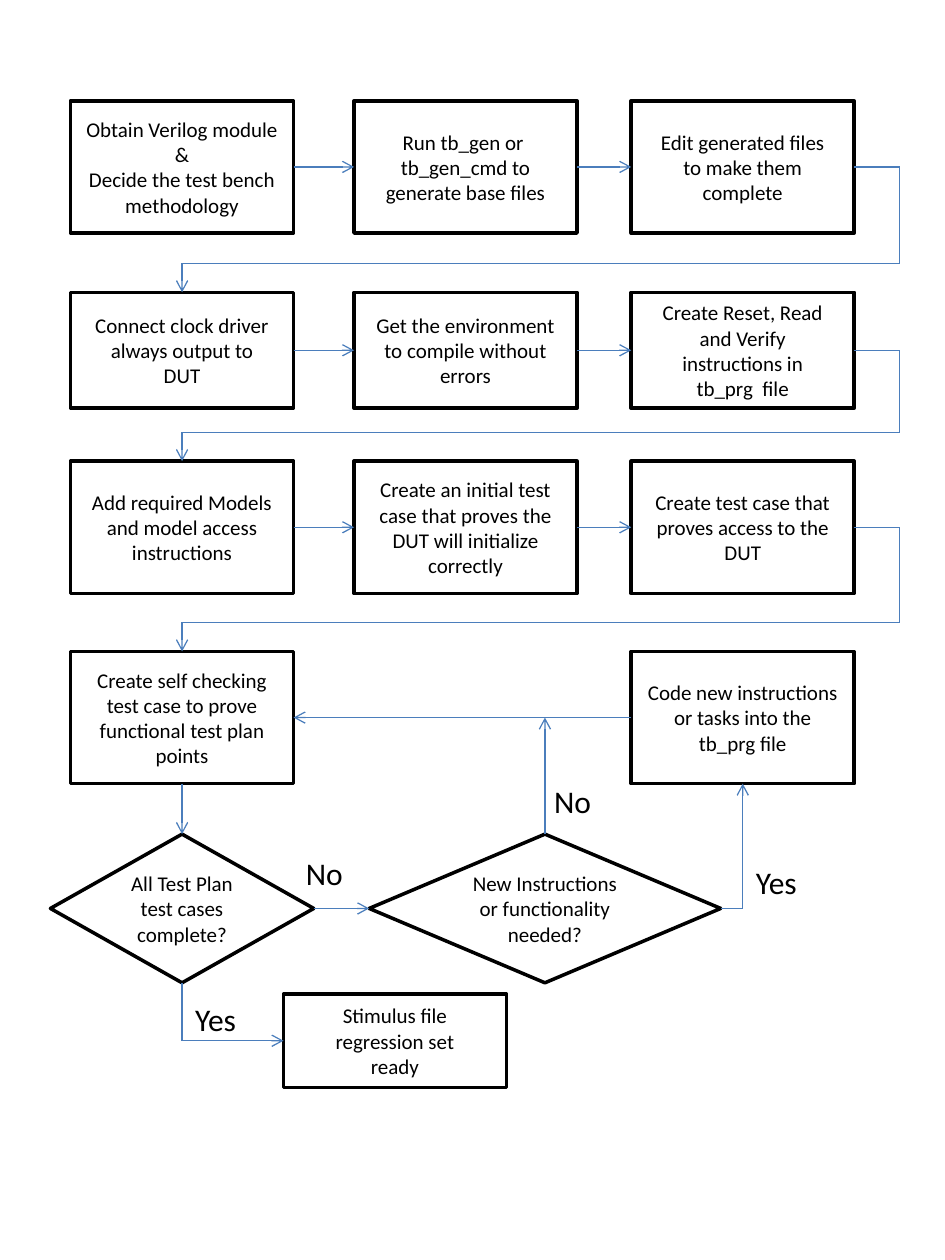
from pptx import Presentation
from pptx.dml.color import RGBColor
from pptx.enum import shapes, text
from pptx.oxml import parse_xml
from pptx.oxml.ns import nsdecls
from pptx.util import Inches, Pt

BLACK = RGBColor(0x00, 0x00, 0x00)
BLUE = RGBColor(0x4B, 0x7E, 0xBC)
FONT = "Calibri"
TOP, LEFT, BOTTOM, RIGHT = range(4)

# Content: rows of steps as (top, height, texts by column)
COLUMNS = [0.56, 2.81, 5.01]
BOX_W = 1.77
LANE_X = 7.14    # vertical lane right of the grid
LANE_GAP = 0.23  # horizontal lane above the next row
ROWS = [
    (0.8, 1.05, [
        "Obtain Verilog module\n&\nDecide the test bench\nmethodology",
        "Run tb_gen or \ntb_gen_cmd to\ngenerate base files",
        "Edit generated files\nto make them\ncomplete"]),
    (2.32, 0.92, [
        "Connect clock driver\nalways output to\nDUT",
        "Get the environment\nto compile without\nerrors",
        "Create Reset, Read\nand Verify\ninstructions in\ntb_prg  file"]),
    (3.66, 1.05, [
        "Add required Models\nand model access\ninstructions",
        "Create an initial test\ncase that proves the\nDUT will initialize\ncorrectly",
        "Create test case that\nproves access to the\nDUT"]),
    (5.17, 1.05, [
        "Create self checking\ntest case to prove\nfunctional test plan\npoints",
        None,
        "Code new instructions\nor tasks into the\ntb_prg file"]),
]
DECISIONS = [
    (0.4, 6.62, 2.09, 1.18, "All Test Plan\ntest cases\ncomplete?"),
    (2.93, 6.62, 2.79, 1.18, "New Instructions\nor functionality\nneeded?"),
]
FINISH = (2.25, 7.89, BOX_W, 0.74, "Stimulus file\nregression set\nready")
ANSWERS = [("No", 2.33, 6.73, 0.5), ("No", 4.3, 6.16, 0.5),
           ("Yes", 5.9, 6.8, 0.53), ("Yes", 1.45, 7.89, 0.53)]

prs = Presentation()
prs.slide_width, prs.slide_height = Inches(7.5), Inches(10)
s = prs.slides.add_slide(prs.slide_layouts[6])


def write(tf, content, size, align):
    tf.text = content
    for p in tf.paragraphs:
        p.alignment = align
        p.font.name, p.font.size, p.font.color.rgb = FONT, Pt(size), BLACK


def add_step(kind, x, y, w, h, content):
    sp = s.shapes.add_shape(kind, Inches(x), Inches(y), Inches(w), Inches(h))
    sp.shadow.inherit = False
    sp.fill.background()
    sp.line.color.rgb, sp.line.width = BLACK, Pt(2)
    tf = sp.text_frame
    tf.word_wrap = True
    tf.margin_left = tf.margin_right = 0
    tf.vertical_anchor = text.MSO_ANCHOR.MIDDLE
    write(tf, content, 12, text.PP_ALIGN.CENTER)
    return sp


def site(sp, side):
    """Position of the middle of one side."""
    mid_x, mid_y = sp.left + sp.width // 2, sp.top + sp.height // 2
    return [(mid_x, sp.top), (sp.left, mid_y),
            (mid_x, sp.top + sp.height), (sp.left + sp.width, mid_y)][side]


def route(start, end, bends=()):
    """Straight segments from start to end; an end is (shape, side) or a point."""
    def is_joint(place):
        return not isinstance(place[0], int)

    points = [site(*q) if is_joint(q) else q for q in (start, *bends, end)]
    last = len(points) - 2
    for i, (a, b) in enumerate(zip(points, points[1:])):
        c = s.shapes.add_connector(shapes.MSO_CONNECTOR.STRAIGHT, *a, *b)
        c.line.color.rgb, c.line.width = BLUE, Pt(0.75)
        c._element.spPr.append(parse_xml(f"<a:effectLst {nsdecls('a')}/>"))
        if i == 0 and is_joint(start):
            c.begin_connect(*start)
        if i == last:
            if is_joint(end):
                c.end_connect(*end)
            c.line._get_or_add_ln().append(
                parse_xml(f'<a:tailEnd {nsdecls("a")} type="arrow"/>'))


# Steps, decisions and the finish
RECT = shapes.MSO_SHAPE.RECTANGLE
grid = [[add_step(RECT, x, y, BOX_W, h, t) if t else None
         for x, t in zip(COLUMNS, texts)] for y, h, texts in ROWS]
complete, needed = [add_step(shapes.MSO_SHAPE.FLOWCHART_DECISION, *d)
                    for d in DECISIONS]
finish = add_step(RECT, *FINISH)

# Arrows along each row, then around to the next row
for row, following in zip(grid, grid[1:]):
    for a, b in zip(row, row[1:]):
        route((a, RIGHT), (b, LEFT))
    start, end = (row[-1], RIGHT), (following[0], TOP)
    lane_x, lane_y = Inches(LANE_X), following[0].top - Inches(LANE_GAP)
    route(start, end, [(lane_x, site(*start)[1]), (lane_x, lane_y),
                       (site(*end)[0], lane_y)])

# Arrows of the test plan loop
self_check, _, new_code = grid[-1]
route((new_code, LEFT), (self_check, RIGHT))
route((self_check, BOTTOM), (complete, TOP))
route((complete, RIGHT), (needed, LEFT))
route((needed, TOP), (site(needed, TOP)[0], site(new_code, LEFT)[1]))
for start, end in [((needed, RIGHT), (new_code, BOTTOM)),
                   ((complete, BOTTOM), (finish, LEFT))]:
    (x1, y1), (x2, y2) = site(*start), site(*end)
    corner = (x2, y1) if start[1] == RIGHT else (x1, y2)
    route(start, end, [corner])

# Answers beside the decision arrows
for answer, x, y, w in ANSWERS:
    tb = s.shapes.add_textbox(Inches(x), Inches(y), Inches(w), Inches(0.4))
    tb.text_frame.word_wrap = False
    tb.text_frame.auto_size = text.MSO_AUTO_SIZE.SHAPE_TO_FIT_TEXT
    write(tb.text_frame, answer, 18, text.PP_ALIGN.LEFT)

prs.save("out.pptx")
